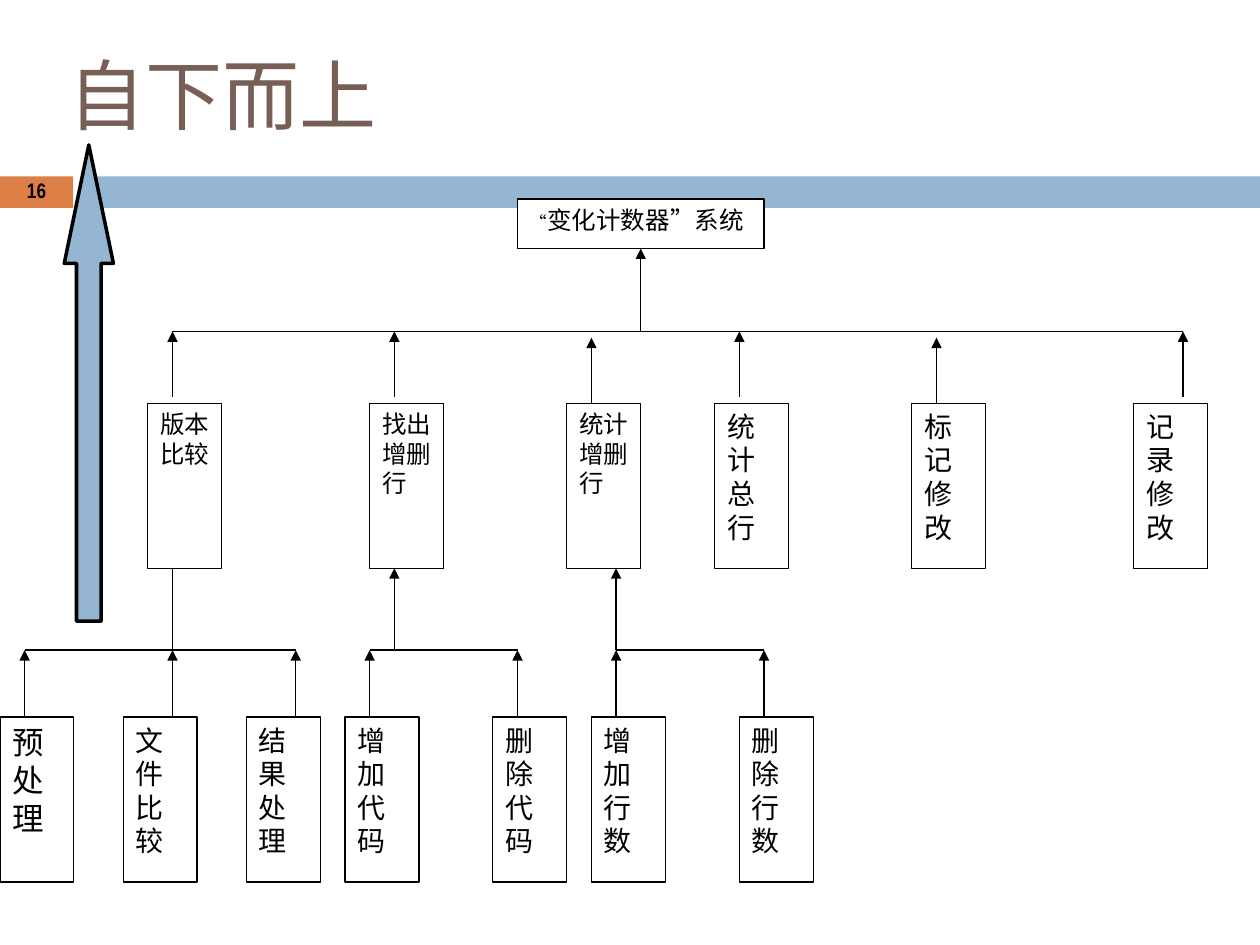
from pptx import Presentation, util as u
from pptx.dml.color import RGBColor
from pptx.enum import shapes as sh, text as tx
from pptx.oxml.ns import qn
from lxml import etree

# Content: box = (column, port column, paragraphs, type size)
TITLE = "自下而上"
NUMBER = "16"
ROOT = [("“", 10), ("变化计数器”系统", 14)]
MODULES = [
    (6, 7, ["版本", "比较"], 14),
    (15, 16, ["找出", "增删行"], 14),
    (23, 24, ["统计", "增删行"], 14),
    (29, 30, ["统计总行"], 16),
    (37, 38, ["标记修改"], 16),
    (46, 48, ["记录", "修改"], 16),
]
LOW_PORTS = {24, 38}  # arrows that stop just short of the bus
# Group = (column of the stem, top of the stem, boxes)
GROUPS = [
    (7, 4.38, [(0, 1, ["预处理"], 18), (5, 7, ["文件比较"], 16),
               (10, 12, ["结果处理"], 16)]),
    (16, 4.51, [(14, 15, ["增加", "代码"], 16), (20, 21, ["删除代码"], 16)]),
    (25, 4.51, [(24, 25, ["增加", "行数"], 16), (30, 31, ["删除", "行数"], 16)]),
]

THEME = dict(
    ink="000000", paper="FFFFFF", title="775F55", blue="94B6D2", orange="DD8047",
    head="Noto Sans CJK SC", body="Times New Roman", num="Arial Narrow",
    big=44, small=12, thin=0.75, thick=2)

# Grid: columns and rows in inches
COL = 0.1956
ROW = 0.131
TOP, BUS, MID, FORK, LOW = 1.58, 2.63, 3.2, 5.16, 5.69
GAP = 0.05
STEM = 4 * ROW

deck = Presentation()
deck.slide_width, deck.slide_height = u.Inches(10), u.Inches(7.5)
slide = deck.slides.add_slide(deck.slide_layouts[5])


def color(key):
    return RGBColor.from_string(THEME[key])


def shape(kind, x, y, w, h, fill, line=None):
    box = slide.shapes.add_shape(kind, *map(u.Inches, (x, y, w, h)))
    box.shadow.inherit = False
    box.fill.solid()
    box.fill.fore_color.rgb = color(fill)
    if line:
        box.line.color.rgb = color("ink")
        box.line.width = u.Pt(THEME[line])
    else:
        box.line.fill.background()
    return box


def style(font, size, face="body", ink="ink"):
    font.size = u.Pt(size)
    font.name = THEME[face]
    font.color.rgb = color(ink)


def node(col, top, cols, rows, paras):
    """Draw a box whose paragraphs are lists of (text, size) runs."""
    box = shape(sh.MSO_SHAPE.RECTANGLE, col * COL, top, cols * COL, rows * ROW,
                "paper", "thin")
    frame = box.text_frame
    frame.word_wrap = True
    frame.vertical_anchor = tx.MSO_ANCHOR.TOP
    for i, runs in enumerate(paras):
        para = frame.paragraphs[0] if i == 0 else frame.add_paragraph()
        para.alignment = tx.PP_ALIGN.JUSTIFY
        style(para.font, runs[-1][1])
        for words, size in runs:
            run = para.add_run()
            run.text = words
            if size != runs[-1][1]:
                run.font.size = u.Pt(size)


def line(c1, y1, c2, y2, head=True):
    link = slide.shapes.add_connector(
        sh.MSO_CONNECTOR.STRAIGHT,
        *map(u.Inches, (c1 * COL, y1, c2 * COL, y2)))
    link.line.color.rgb = color("ink")
    link.line.width = u.Pt(THEME["thin"])
    if head:
        etree.SubElement(link.line._get_or_add_ln(), qn("a:headEnd"), type="triangle")
    etree.SubElement(link._element.spPr, qn("a:effectLst"))


def tier(boxes, bus, top):
    """Draw a bus, the arrows up to it and the boxes below."""
    ports = [box[1] for box in boxes]
    line(min(ports), bus, max(ports), bus, head=False)
    for col, port, words, size in boxes:
        drop = GAP if bus == BUS and port in LOW_PORTS else 0
        line(port, bus + drop, port, bus + drop + STEM)
        node(col, top, 3, 10, [[(word, size)] for word in words])


# Title band
shape(sh.MSO_SHAPE.RECTANGLE, 0, 1.4, 0.58, 0.25, "orange")
shape(sh.MSO_SHAPE.RECTANGLE, 0.65, 1.4, 9.35, 0.25, "blue")
title = slide.shapes.title
title.left, title.top, title.width, title.height = map(u.Inches, (0.44, 0.33, 8.5, 1.25))
title.text_frame.text = TITLE
title.text_frame.vertical_anchor = tx.MSO_ANCHOR.TOP
para = title.text_frame.paragraphs[0]
para.alignment = tx.PP_ALIGN.LEFT
style(para.font, THEME["big"], "head", "title")

# Slide number
num = slide.shapes.add_textbox(*map(u.Inches, (0, 1.39, 0.58, 0.27))).text_frame
num.word_wrap = True
num.vertical_anchor = tx.MSO_ANCHOR.MIDDLE
num.text = NUMBER
para = num.paragraphs[0]
para.alignment = tx.PP_ALIGN.CENTER
para.line_spacing = 0.8
style(para.font, THEME["small"], "num")
para.font.bold = True

# Tree: stems first, so that boxes cover their ends
line(26, TOP + 3 * ROW, 26, BUS)
for stem, start, boxes in GROUPS:
    line(stem, start, stem, FORK)
    tier(boxes, FORK, LOW)
tier(MODULES, BUS, MID)
node(21, TOP, 10, 3, [ROOT])

# Direction arrow
arrow = shape(sh.MSO_SHAPE.UP_ARROW, 0.51, 1.15, 0.39, 3.78, "blue", "thick")
arrow.adjustments[0] = 0.5
arrow.adjustments[1] = 2.41

deck.save("out.pptx")
